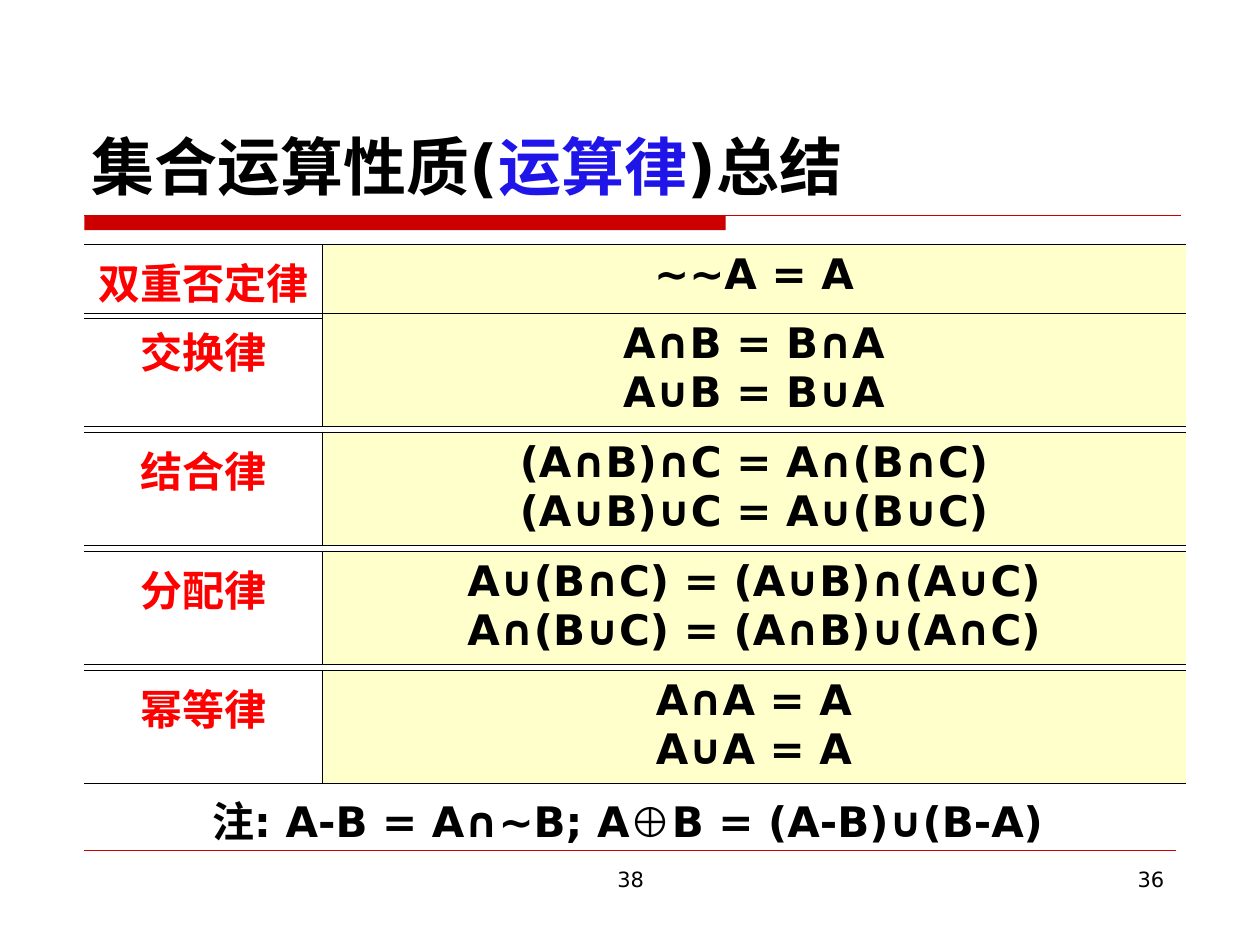
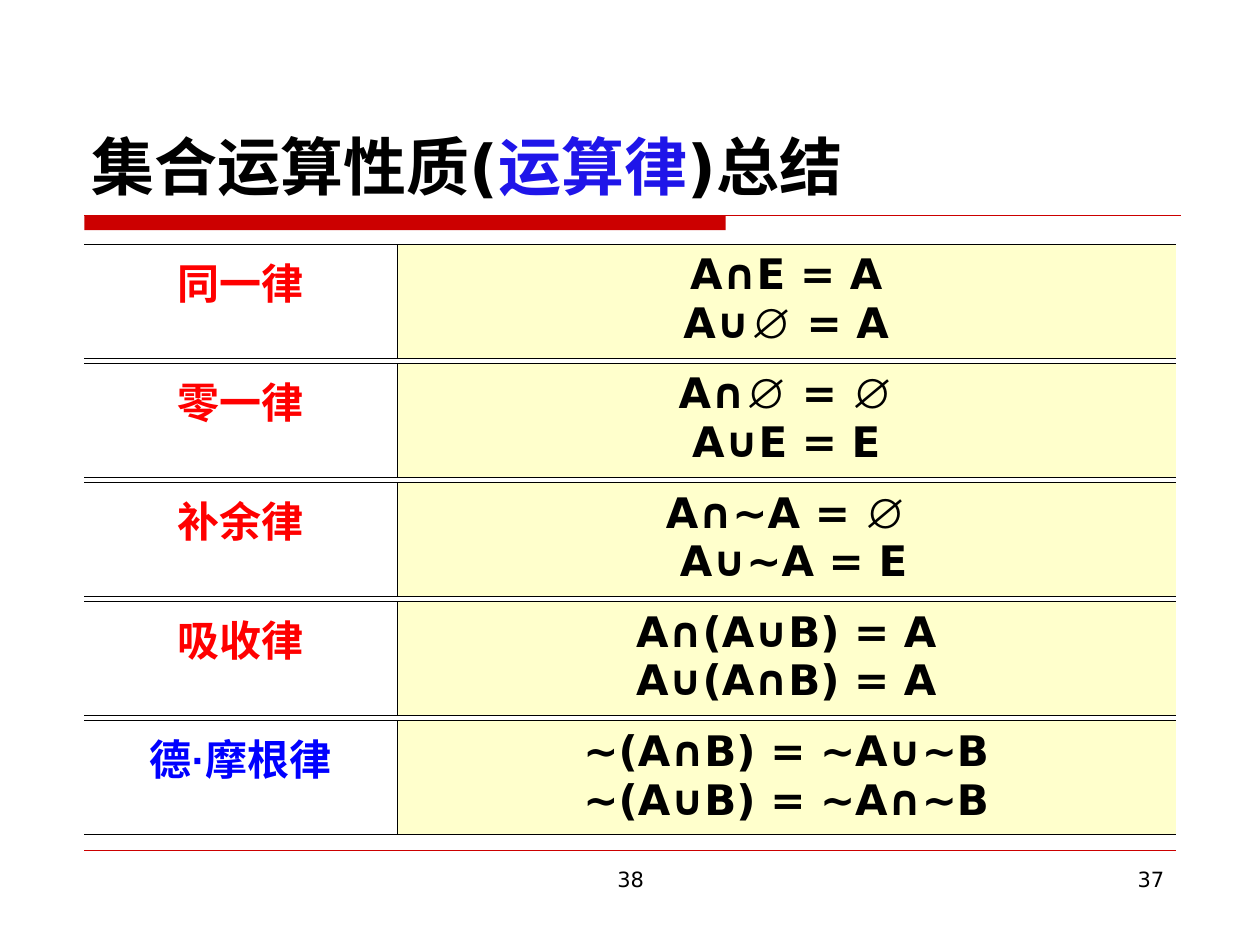
from itertools import groupby

from lxml import etree
from pptx import Presentation
from pptx.dml.color import RGBColor
from pptx.enum.shapes import MSO_CONNECTOR, MSO_SHAPE
from pptx.enum.text import MSO_ANCHOR, MSO_AUTO_SIZE, PP_ALIGN
from pptx.oxml.ns import qn
from pptx.util import Cm, Pt

LEFT, CENTER, RIGHT = PP_ALIGN.LEFT, PP_ALIGN.CENTER, PP_ALIGN.RIGHT
STRAIGHT, RECTANGLE = MSO_CONNECTOR.STRAIGHT, MSO_SHAPE.RECTANGLE
BOTTOM, NO_AUTOFIT = MSO_ANCHOR.BOTTOM, MSO_AUTO_SIZE.NONE

FONT, SYMBOL_FONT = "DejaVu Sans", "Arial"
SYMBOLS = "∅⊕·"
BLACK, RED, BLUE = "000000", "FF0000", "0000FF"
TITLE_BLUE, RULE_RED, FORMULA_YELLOW = "1F15E9", "CC0000", "FFFFCC"

TITLE = [("集合运算性质(", BLACK), ("运算律", TITLE_BLUE), (")总结", BLACK)]
FOOTER_NUMBER = "38"
SLIDES = [
    {
        "number": "36",
        "columns": (4.8, 17.4),
        "laws": [
            ("双重否定律", RED, ["~~A = A"]),
            ("交换律", RED, ["A∩B = B∩A", "A∪B = B∪A"]),
            ("结合律", RED, ["(A∩B)∩C = A∩(B∩C)", "(A∪B)∪C = A∪(B∪C)"]),
            ("分配律", RED, ["A∪(B∩C) = (A∪B)∩(A∪C)", "A∩(B∪C) = (A∩B)∪(A∩C)"]),
            ("幂等律", RED, ["A∩A = A", "A∪A = A"]),
        ],
        "note": "注: A-B = A∩~B; A⊕B = (A-B)∪(B-A) ",
    },
    {
        "number": "37",
        "columns": (6.3, 15.7),
        "laws": [
            ("同一律", RED, ["A∩E = A", "A∪∅ = A"]),
            ("零一律", RED, ["A∩∅ = ∅", "A∪E = E"]),
            ("补余律", RED, ["A∩~A = ∅", " A∪~A = E"]),
            ("吸收律", RED, ["A∩(A∪B) = A", "A∪(A∩B) = A"]),
            ("德·摩根律", BLUE, ["~(A∩B) = ~A∪~B", "~(A∪B) = ~A∩~B"]),
        ],
        "note": None,
    },
]

MARGIN = 1.7
TABLE_TOP, TABLE_GAP = 4.93, 0.11
ROW_HEIGHTS = {1: 1.27, 2: 2.29}  # by number of formula lines


def color(hex_text):
    return RGBColor.from_string(hex_text)


def format_paragraph(paragraph, size, align, hex_text=BLACK, bold=False):
    paragraph.alignment = align
    font = paragraph.font
    font.name, font.size, font.bold = FONT, Pt(size), bold
    font.color.rgb = color(hex_text)


def write_lines(text_frame, lines, size, align, hex_text=BLACK, bold=False):
    """Write one paragraph a line, with the symbols in their own font."""
    text_frame.word_wrap = True
    for index, line in enumerate(lines):
        paragraph = text_frame.add_paragraph() if index else text_frame.paragraphs[0]
        format_paragraph(paragraph, size, align, hex_text, bold)
        for is_symbol, characters in groupby(line, lambda letter: letter in SYMBOLS):
            run = paragraph.add_run()
            run.text = "".join(characters)
            if is_symbol:
                run.font.name = SYMBOL_FONT


def add_text(slide, text, left, top, width, height, size, align, bold=False):
    box = slide.shapes.add_textbox(Cm(left), Cm(top), Cm(width), Cm(height))
    write_lines(box.text_frame, [text], size, align, bold=bold)


def add_rule(slide, top, right, width):
    rule = slide.shapes.add_connector(STRAIGHT, Cm(MARGIN), Cm(top), Cm(right), Cm(top))
    rule.line.color.rgb = color(RULE_RED)
    rule.line.width = Pt(width)
    etree.SubElement(rule.element.spPr, qn("a:effectLst"))
    return rule


def decorate_layout(layout, slide):
    """Draw the band and rules on a slide, then move them to its layout."""
    band = slide.shapes.add_shape(RECTANGLE, Cm(MARGIN), Cm(4.34), Cm(12.93), Cm(0.3))
    band.shadow.inherit = False
    band.fill.solid()
    band.fill.fore_color.rgb = color(RULE_RED)
    band.line.fill.background()
    for shape in (band, add_rule(slide, 4.34, 23.8, 0.75), add_rule(slide, 17.15, 23.7, 0.25)):
        layout.element.cSld.spTree.append(shape.element)


def set_borders(cell, visible_sides):
    properties = cell._tc.get_or_add_tcPr()
    for index, side in enumerate("LRTB"):
        border = etree.Element(qn(f"a:ln{side}"), w=str(Pt(0.45)))
        if side in visible_sides:
            fill = etree.SubElement(border, qn("a:solidFill"))
            etree.SubElement(fill, qn("a:srgbClr"), val=BLACK)
        else:
            etree.SubElement(border, qn("a:noFill"))
        properties.insert(index, border)


def add_law(slide, law, columns, top):
    """Add the one-row table of a law and return where the next one starts."""
    name, name_color, formulas = law
    height = ROW_HEIGHTS[len(formulas)]
    frame = slide.shapes.add_table(1, 2, Cm(MARGIN), Cm(top), Cm(sum(columns)), Cm(height))
    table = frame.table
    table.first_row = table.horz_banding = False
    for column, width in zip(table.columns, columns):
        column.width = Cm(width)

    name_cell, formula_cell = table.cell(0, 0), table.cell(0, 1)
    name_cell.fill.background()
    formula_cell.fill.solid()
    formula_cell.fill.fore_color.rgb = color(FORMULA_YELLOW)
    set_borders(name_cell, "RTB")
    set_borders(formula_cell, "LTB")
    write_lines(name_cell.text_frame, [name], 24, CENTER, name_color, True)
    write_lines(formula_cell.text_frame, formulas, 24, CENTER, bold=True)
    return top + height + TABLE_GAP


def fill_title(title):
    title.left, title.top, title.width, title.height = Cm(1.6), Cm(0.84), Cm(22.22), Cm(3.38)
    text_frame = title.text_frame
    text_frame.vertical_anchor = BOTTOM
    text_frame.auto_size = NO_AUTOFIT
    paragraph = text_frame.paragraphs[0]
    format_paragraph(paragraph, 36, LEFT, bold=True)
    for text, hex_text in TITLE:
        run = paragraph.add_run()
        run.text = text
        run.font.color.rgb = color(hex_text)


def add_law_slide(presentation, layout, content):
    slide = presentation.slides.add_slide(layout)
    fill_title(slide.shapes.title)
    top = TABLE_TOP
    for law in content["laws"]:
        top = add_law(slide, law, content["columns"], top)
    if content["note"]:
        add_text(slide, content["note"], MARGIN, top, sum(content["columns"]), 1.27, 24, CENTER, True)
    add_text(slide, FOOTER_NUMBER, 8.69, 17.35, 8.05, 1.32, 12, CENTER)
    add_text(slide, content["number"], 18.21, 17.35, 5.51, 1.32, 12, RIGHT)
    return slide


def main():
    presentation = Presentation()
    presentation.slide_width, presentation.slide_height = Cm(25.4), Cm(19.05)
    layout = presentation.slide_layouts.get_by_name("Title Only")
    slides = [add_law_slide(presentation, layout, content) for content in SLIDES]
    decorate_layout(layout, slides[0])
    presentation.save("out.pptx")


if __name__ == "__main__":
    main()
